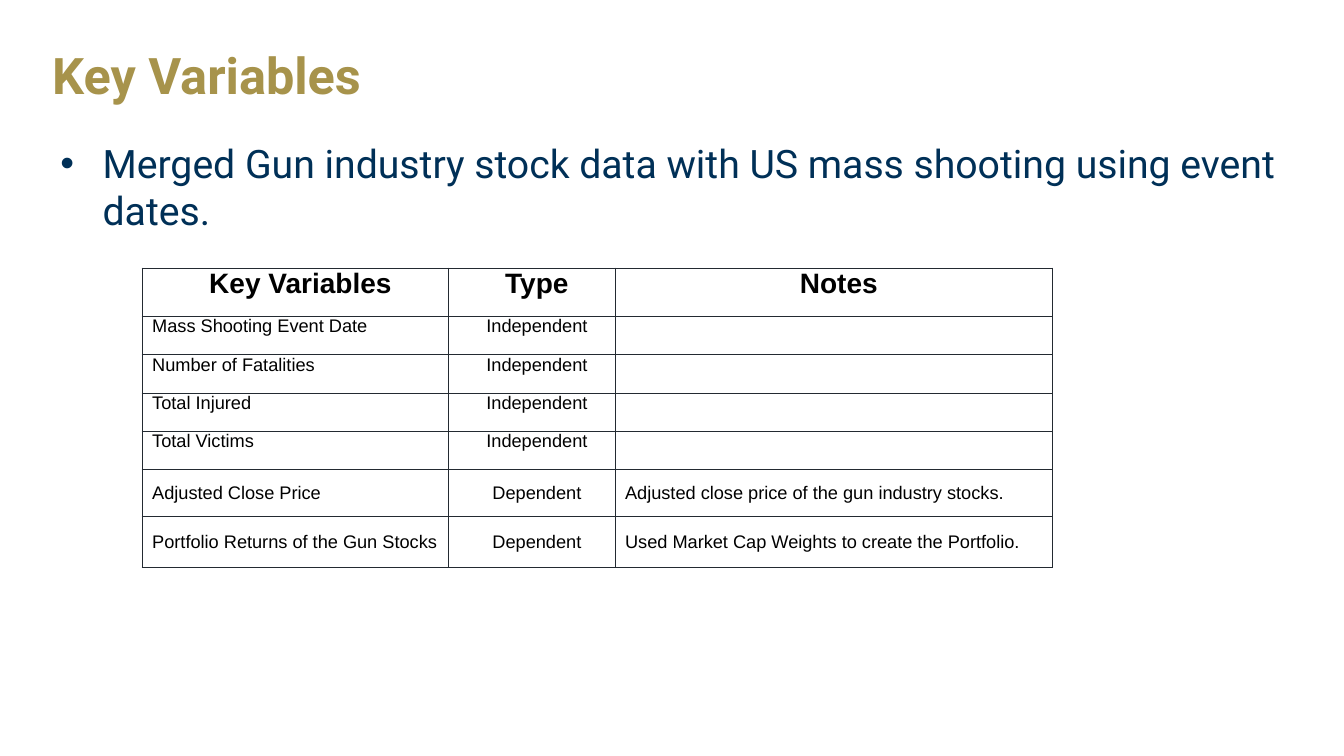
import pptx
import pptx.dml.color
import pptx.enum.text
import pptx.oxml.ns
import pptx.util
from lxml import etree

Inches = pptx.util.Inches
Align = pptx.enum.text.PP_ALIGN
Anchor = pptx.enum.text.MSO_ANCHOR

THEME = {
    "title": {"name": "Roboto", "size": 36, "bold": True, "color": "A7934B"},
    "body": {"name": "Roboto", "size": 28, "bold": False, "color": "003057"},
    "header": {"name": "Arial", "size": 20, "bold": True, "color": "000000"},
    "cell": {"name": "Arial", "size": 13, "bold": False, "color": "000000"},
    "border": {"color": "232A31", "width": 0.75},
}


def write(paragraph, text, style):
    """Add one run of text in a theme style."""
    run = paragraph.add_run()
    run.text = text
    formats = {**THEME[style], "size": pptx.util.Pt(THEME[style]["size"])}
    run.font.color.rgb = pptx.dml.color.RGBColor.from_string(formats.pop("color"))
    for attribute, value in formats.items():
        setattr(run.font, attribute, value)


def add_element(parent, tag, **attributes):
    """Append a DrawingML element."""
    return etree.SubElement(parent, pptx.oxml.ns.qn(tag), attributes)


presentation = pptx.Presentation()
presentation.slide_width = Inches(13.33)
presentation.slide_height = Inches(7.5)
slide = presentation.slides.add_slide(presentation.slide_layouts[6])

# Title and body text share one column
LEFT, WIDTH = 0.42, 12.5
paragraphs = {}
for style, top, height, anchor, text in [
    ("title", 0.22, 1.11, Anchor.MIDDLE, "Key Variables"),
    ("body", 1.33, 4.62, Anchor.TOP,
     "Merged Gun industry stock data with US mass shooting using event dates."),
]:
    shape = slide.shapes.add_textbox(*map(Inches, (LEFT, top, WIDTH, height)))
    shape.text_frame.word_wrap = True
    shape.text_frame.vertical_anchor = anchor
    paragraphs[style] = shape.text_frame.paragraphs[0]
    write(paragraphs[style], text, style)
paragraphs["title"].line_spacing = 0.9

# Bullet of the body text
properties = paragraphs["body"]._p.get_or_add_pPr()
properties.set("marL", str(Inches(0.5)))
properties.set("indent", str(Inches(-0.42)))
bullet_color = add_element(properties, "a:buClr")
add_element(bullet_color, "a:srgbClr", val=THEME["body"]["color"])
add_element(properties, "a:buFont", typeface="Arial")
add_element(properties, "a:buChar", char="•")

# Table of variables
rows = [
    ("Key Variables", "Type", "Notes"),
    ("Mass Shooting Event Date", "Independent", ""),
    ("Number of Fatalities", "Independent", ""),
    ("Total Injured", "Independent", ""),
    ("Total Victims", "Independent", ""),
    ("Adjusted Close Price", "Dependent",
     "Adjusted close price of the gun industry stocks."),
    ("Portfolio Returns of the Gun Stocks", "Dependent",
     "Used Market Cap Weights to create the Portfolio."),
]
column_widths = [3.04, 1.65, 4.34]
row_heights = [0.48] + [0.38] * 4 + [0.46, 0.51]
TYPE_COLUMN = 1

table = slide.shapes.add_table(
    len(rows), len(column_widths), Inches(1.41), Inches(2.66),
    Inches(sum(column_widths)), Inches(sum(row_heights))).table
table.first_row = table.horz_banding = False
for column, width in zip(table.columns, column_widths):
    column.width = Inches(width)
for row, height in zip(table.rows, row_heights):
    row.height = Inches(height)

for row_index, row in enumerate(rows):
    is_header = row_index == 0
    cell_format = {
        "margin_left": Inches(0.1), "margin_right": 0,
        "margin_top": 0, "margin_bottom": 0,
        "vertical_anchor": Anchor.MIDDLE if row[TYPE_COLUMN] == "Dependent" else Anchor.TOP,
    }
    for column_index, text in enumerate(row):
        cell = table.cell(row_index, column_index)
        for attribute, value in cell_format.items():
            setattr(cell, attribute, value)
        paragraph = cell.text_frame.paragraphs[0]
        centred = is_header or column_index == TYPE_COLUMN
        paragraph.alignment = Align.CENTER if centred else Align.LEFT
        if text:
            write(paragraph, text, "header" if is_header else "cell")

        # Borders come before the fill in the cell properties
        cell_properties = cell._tc.get_or_add_tcPr()
        for side in ("a:lnL", "a:lnR", "a:lnT", "a:lnB"):
            line = add_element(cell_properties, side,
                               w=str(pptx.util.Pt(THEME["border"]["width"])))
            line_fill = add_element(line, "a:solidFill")
            add_element(line_fill, "a:srgbClr", val=THEME["border"]["color"])
        cell.fill.background()

presentation.save("out.pptx")
